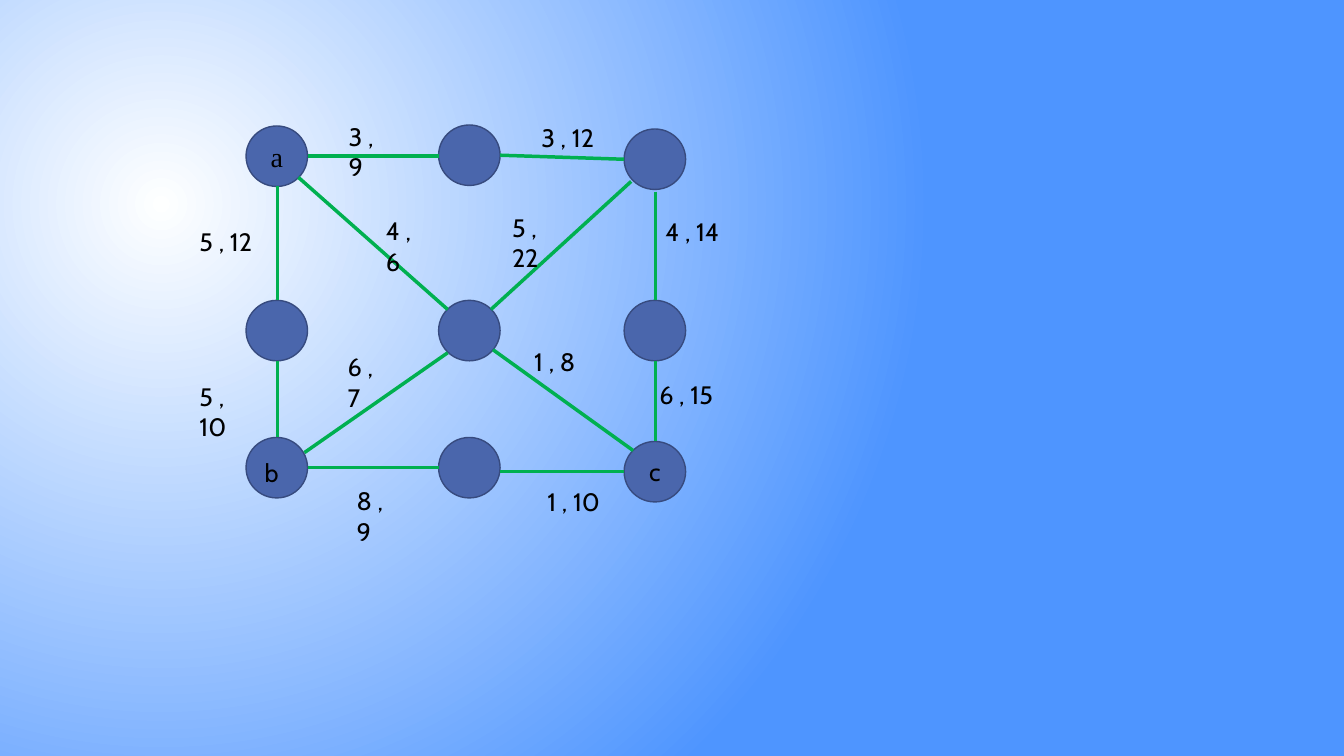
"""Build a slide with a graph of nine nodes and twelve weighted edges."""
from lxml import etree
from pptx import Presentation
from pptx.dml.color import RGBColor
from pptx.enum.shapes import MSO_CONNECTOR, MSO_SHAPE
from pptx.enum.text import MSO_ANCHOR, MSO_AUTO_SIZE, PP_ALIGN
from pptx.oxml.ns import qn
from pptx.util import Inches, Pt

OVAL = MSO_SHAPE.OVAL
STRAIGHT = MSO_CONNECTOR.STRAIGHT
MIDDLE = MSO_ANCHOR.MIDDLE
GROW = MSO_AUTO_SIZE.SHAPE_TO_FIT_TEXT
LEFT, CENTER = PP_ALIGN.LEFT, PP_ALIGN.CENTER

THEME = {
    "glow": RGBColor.from_string("FEFFFF"),
    "sky": RGBColor.from_string("4E95FF"),
    "node": RGBColor.from_string("4A66AC"),
    "outline": RGBColor.from_string("374B7F"),
    "edge": RGBColor.from_string("00B050"),
    "text": RGBColor.from_string("000000"),
    "font": "Cabin",
    "serif": "Times New Roman",
    "size": Pt(18),
    "large": Pt(20),
    "outline_width": Pt(1),
    "edge_width": Pt(2.5),
}


def write(tf, text, align, font=THEME["font"], size=THEME["size"]):
    p = tf.paragraphs[0]
    p.alignment = align
    r = p.add_run()
    r.text = text
    r.font.name = font
    r.font.size = size
    r.font.color.rgb = THEME["text"]


def add_label(s, text, x, y, w, align=LEFT):
    sp = s.shapes.add_textbox(Inches(x), Inches(y), Inches(w), Inches(0.4))
    tf = sp.text_frame
    tf.word_wrap = True
    tf.auto_size = GROW
    write(tf, text, align)


prs = Presentation()
prs.slide_width, prs.slide_height = Inches(13.33), Inches(7.5)
s = prs.slides.add_slide(prs.slide_layouts[6])

fill = s.background.fill
fill.gradient()
for stop, color, position in zip(fill.gradient_stops, ("glow", "sky"), (0, 1)):
    stop.color.rgb = THEME[color]
    stop.position = position
lin = next(s.background._cSld.iter(qn("a:lin")))
radial = etree.Element(qn("a:path"), path="circle")
etree.SubElement(radial, qn("a:fillToRect"), l="50000", t="55000", r="125000", b="100000")
lin.getparent().replace(lin, radial)

left, center, right = 2.44, 4.35, 6.19
middle = 2.98
nodes = [
    (left, 1.25, "a", THEME["serif"], THEME["large"]),
    (left, middle, "", None, None),
    (center, 1.24, "", None, None),
    (center, 4.34, "", None, None),
    (right, 1.28, "", None, None),
    (center, middle, "", None, None),
    (right, middle, "", None, None),
    (right, 4.38, "c", THEME["font"], THEME["size"]),
    (left, 4.34, "", None, None),
]
for x, y, name, font, size in nodes:
    sp = s.shapes.add_shape(OVAL, Inches(x), Inches(y), Inches(0.61), Inches(0.6))
    sp.shadow.inherit = False
    sp.fill.solid()
    sp.fill.fore_color.rgb = THEME["node"]
    sp.line.color.rgb = THEME["outline"]
    sp.line.width = THEME["outline_width"]
    if name:
        sp.text_frame.vertical_anchor = MIDDLE
        write(sp.text_frame, name, CENTER, font, size)

add_label(s, "b", -0.64, 4.49, 6.67, CENTER)

edges = [
    (2.96, 1.76, 4.44, 3.07),
    (4.89, 3.47, 6.28, 4.47),
    (2.75, 3.58, 2.75, 4.34),
    (6.5, 3.58, 6.5, 4.38),
    (6.5, 1.9, 6.5, 2.98),
    (2.75, 1.85, 2.75, 2.98),
    (3.05, 1.55, 4.35, 1.55),
    (4.96, 1.54, 6.19, 1.58),
    (3.05, 4.64, 4.35, 4.64),
    (4.96, 4.68, 6.19, 4.68),
    (4.44, 3.5, 3.02, 4.49),
    (6.26, 1.8, 4.87, 3.07),
]
for ends in edges:
    edge = s.shapes.add_connector(STRAIGHT, *(Inches(v) for v in ends))
    edge.line.color.rgb = THEME["edge"]
    edge.line.width = THEME["edge_width"]
    etree.SubElement(edge._element.spPr, qn("a:effectLst"))

weights = [
    (5, 12, 1.88, 2.2),
    (5, 10, 1.88, 3.73),
    (8, 9, 3.44, 4.77),
    (1, 10, 5.33, 4.78),
    (6, 7, 3.35, 3.44),
    (4, 6, 3.73, 2.09),
    (3, 9, 3.36, 1.15),
    (3, 12, 5.27, 1.16),
    (4, 14, 6.5, 2.1),
    (5, 22, 4.98, 2.06),
    (1, 8, 5.2, 3.39),
    (6, 15, 6.44, 3.71),
]
for first, second, x, y in weights:
    add_label(s, f"{first} , {second}", x, y, 0.63 if second < 10 else 0.75)

prs.save("out.pptx")
